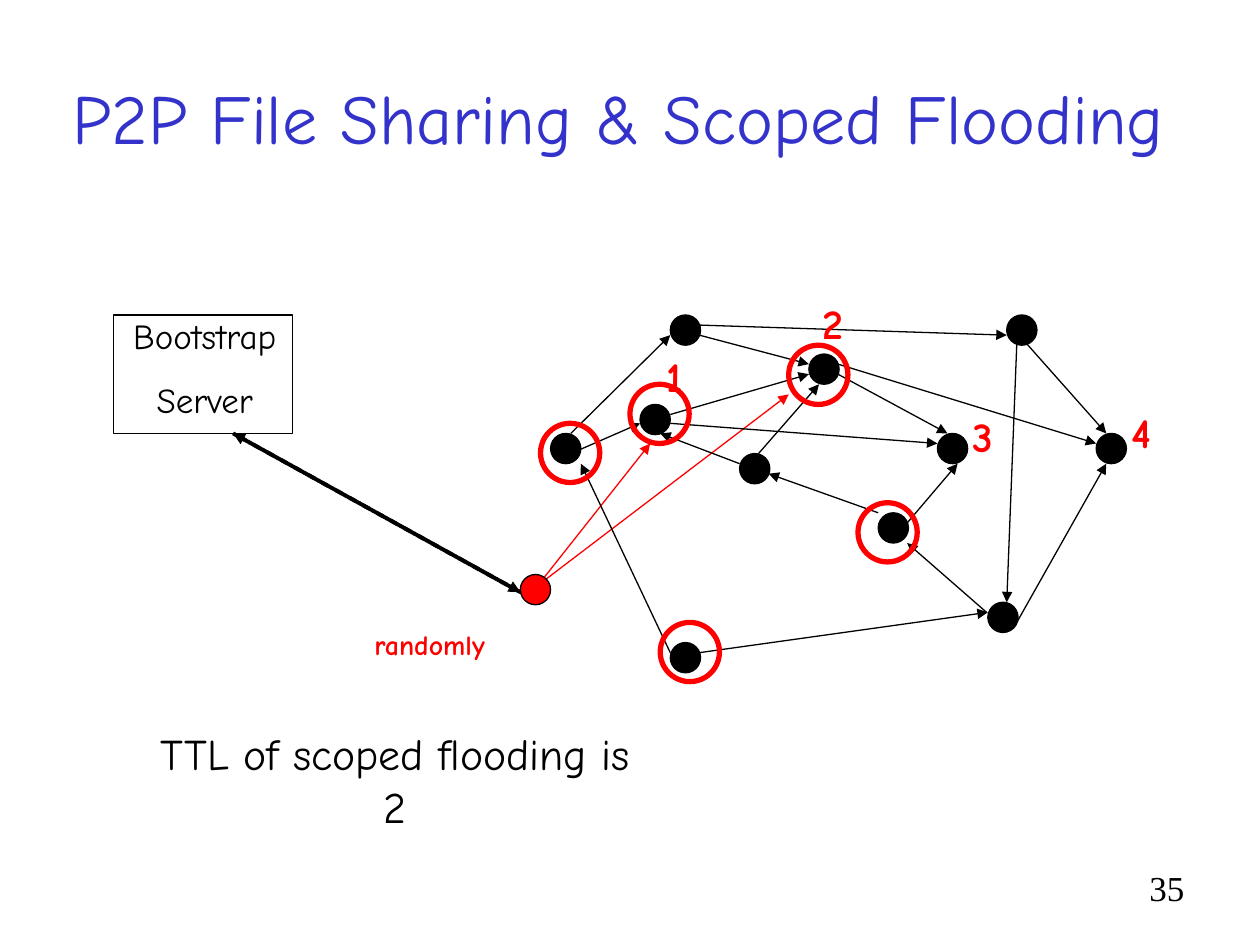
from lxml import etree
from pptx import Presentation
from pptx import util as u
from pptx.dml.color import RGBColor
from pptx.enum import dml, shapes, text
from pptx.oxml.ns import qn

BLACK, RED, BLUE = "000000", "FF0000", "3333CC"
NODE_SIZE, RING_SIZE = 0.24, 0.47


def color(value):
    return RGBColor.from_string(value)


class SlideBuilder:
    font = "Comic Neue"
    thin = 0.75

    def __init__(self, presentation):
        # Layout 5 is "Title Only"
        self.slide = presentation.slides.add_slide(presentation.slide_layouts[5])

    def fill_text(self, shape, lines, size, hex_color, align=text.PP_ALIGN.CENTER,
                  before=0, bold=False, font=None, anchor=text.MSO_ANCHOR.TOP,
                  wrap=True):
        frame = shape.text_frame
        frame_format = {
            "word_wrap": wrap,
            "auto_size": text.MSO_AUTO_SIZE.NONE,
            "vertical_anchor": anchor,
        }
        for name, value in frame_format.items():
            setattr(frame, name, value)
        font_format = {"name": font or self.font, "size": u.Pt(size), "bold": bold}
        for index, line in enumerate(lines):
            paragraph = frame.add_paragraph() if index else frame.paragraphs[0]
            paragraph.alignment = align
            paragraph.space_before = u.Pt(before)
            run = paragraph.add_run()
            run.text = line
            for name, value in font_format.items():
                setattr(run.font, name, value)
            run.font.color.rgb = color(hex_color)

    def title(self, line, box, **style):
        shape = self.slide.shapes.title
        for name, value in zip(("left", "top", "width", "height"), box):
            setattr(shape, name, u.Inches(value))
        self.fill_text(shape, [line], anchor=text.MSO_ANCHOR.MIDDLE, **style)

    def label(self, lines, box, **style):
        shape = self.slide.shapes.add_textbox(*map(u.Inches, box))
        self.fill_text(shape, lines, **style)

    def outline(self, kind, box, line=BLACK, width=thin, fill=None):
        shape = self.slide.shapes.add_shape(kind, *map(u.Inches, box))
        shape.shadow.inherit = False
        if fill:
            shape.fill.solid()
            shape.fill.fore_color.rgb = color(fill)
        else:
            shape.fill.background()
        shape.line.color.rgb = color(line)
        shape.line.width = u.Pt(width)

    def circle(self, left, top, size, **style):
        self.outline(shapes.MSO_SHAPE.OVAL, (left, top, size, size), **style)

    def arrow(self, ends, line=BLACK, width=thin, dash=None, tip="tailEnd"):
        connector = self.slide.shapes.add_connector(
            shapes.MSO_CONNECTOR.STRAIGHT, *map(u.Inches, ends))
        connector.line.color.rgb = color(line)
        connector.line.width = u.Pt(width)
        if dash:
            connector.line.dash_style = dash
        # Arrowhead and no shadow
        properties = connector.element.spPr
        etree.SubElement(properties.find(qn("a:ln")), qn("a:" + tip), type="triangle")
        etree.SubElement(properties, qn("a:effectLst"))


NODES = [
    (5.08, 3.21), (5.87, 3.6), (6.97, 4.07), (5.32, 5.1), (5.32, 2.5), (6.42, 2.81),
    (7.44, 3.44), (7.84, 4.78), (8.7, 3.44), (7.99, 2.5), (4.37, 3.44),
]
RANDOM_LINKS = [(4.29, 4.62, 5.16, 3.52), (4.29, 4.63, 6.26, 3.13)]
PEER_LINKS = [
    (4.53, 3.44, 5.32, 2.66), (4.53, 3.6, 5.08, 3.36), (5.32, 3.29, 6.42, 2.97),
    (5.32, 3.36, 7.44, 3.52), (5.55, 5.18, 7.84, 4.86), (7.2, 4.15, 7.6, 3.68),
    (6.97, 4.07, 6.1, 3.76), (5.55, 2.66, 6.42, 2.89), (5.55, 2.58, 7.99, 2.66),
    (6.02, 3.6, 6.5, 3.05), (5.87, 3.68, 5.24, 3.44), (5.32, 5.18, 4.61, 3.68),
    (6.65, 2.97, 7.52, 3.44), (6.65, 2.89, 8.7, 3.52), (8.15, 2.73, 8.78, 3.44),
    (8.07, 2.73, 7.99, 4.78), (7.83, 4.86, 7.2, 4.31), (8.07, 4.94, 8.78, 3.68),
]
SERVER_LINK = (4.13, 4.7, 1.85, 3.44)
RINGS = [(4.29, 3.36), (5, 3.05), (6.26, 2.74), (5.24, 4.94), (6.81, 3.99)]
NUMBERS = {
    "1": (5.19, 2.73, 0.33, 0.5), "2": (6.43, 2.31, 0.36, 0.5),
    "3": (7.62, 3.21, 0.36, 0.5), "4": (8.88, 3.18, 0.35, 0.5),
}


def main():
    presentation = Presentation()
    presentation.slide_width, presentation.slide_height = u.Inches(10), u.Inches(7.5)
    builder = SlideBuilder(presentation)
    builder.title("P2P File Sharing & Scoped Flooding ", (0, 0.3, 10, 1.25),
                  size=40, hex_color=BLUE)

    # Peer network
    for left, top in NODES:
        builder.circle(left, top, NODE_SIZE, fill=BLACK)
    for ends in RANDOM_LINKS:
        builder.arrow(ends, line=RED)
    for ends in PEER_LINKS:
        builder.arrow(ends)

    # Bootstrap server
    builder.outline(shapes.MSO_SHAPE.RECTANGLE, (0.9, 2.5, 1.42, 0.94))
    builder.label(["Bootstrap", "Server"], (0.78, 2.45, 1.69, 0.94),
                  size=20, hex_color=BLACK, before=12.5)

    # Peers reached by the flooding
    for left, top in RINGS:
        builder.circle(left, top, RING_SIZE, line=RED, width=3)

    # Captions and hop numbers
    builder.label(["TTL of scoped flooding is 2"], (1.03, 5.72, 4.21, 0.52),
                  size=25, hex_color=BLACK, before=6.2)
    for number, box in NUMBERS.items():
        builder.label([number], box, size=24, hex_color=RED, before=6,
                      bold=True, wrap=False)
    builder.label(["randomly"], (2.87, 4.93, 1.08, 0.37), size=16, hex_color=RED,
                  before=4, bold=True, wrap=False)

    # New peer and its two-way link with the server
    for tip in ("tailEnd", "headEnd"):
        builder.arrow(SERVER_LINK, width=2.25, tip=tip,
                      dash=dml.MSO_LINE.SQUARE_DOT)
    builder.circle(4.13, 4.56, NODE_SIZE, fill=RED)

    # Slide number
    builder.label(["35"], (7.17, 6.83, 2.33, 0.52), size=20, hex_color=BLACK,
                  align=text.PP_ALIGN.RIGHT, font="Times New Roman")
    presentation.save("out.pptx")


if __name__ == "__main__":
    main()
